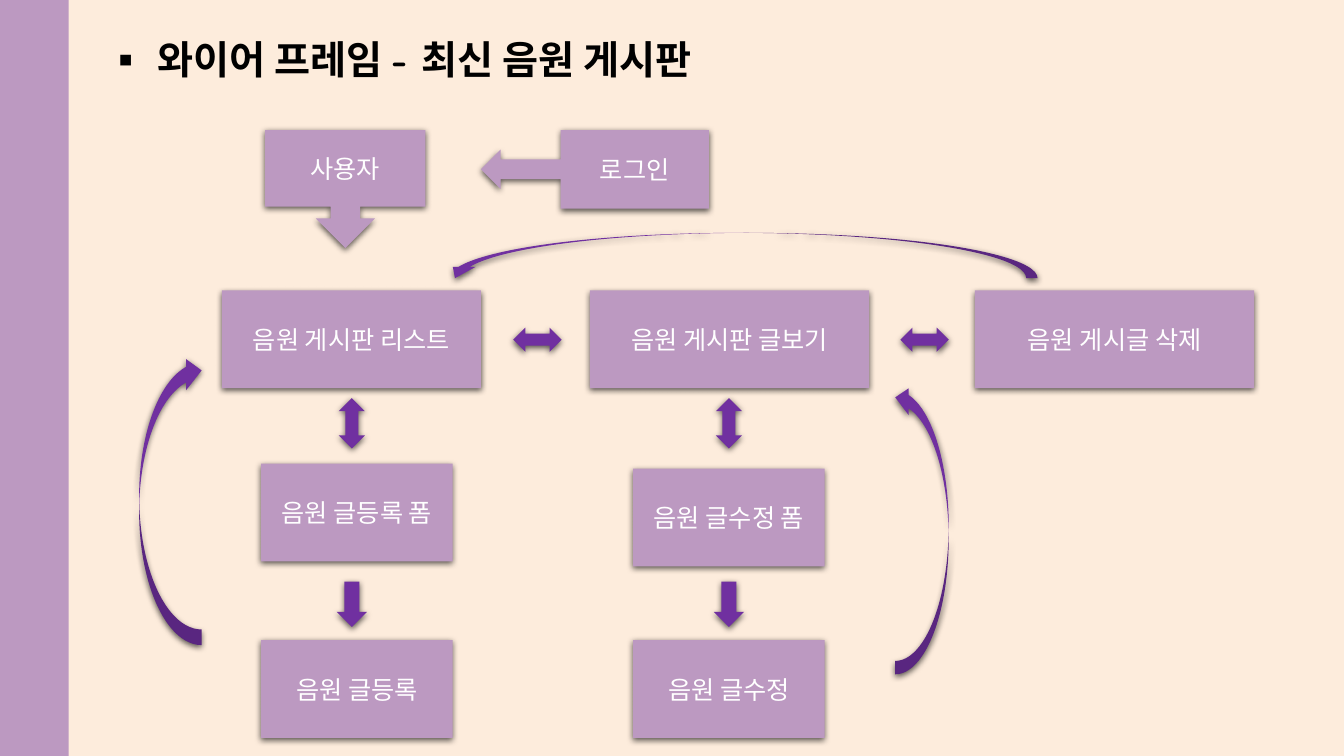
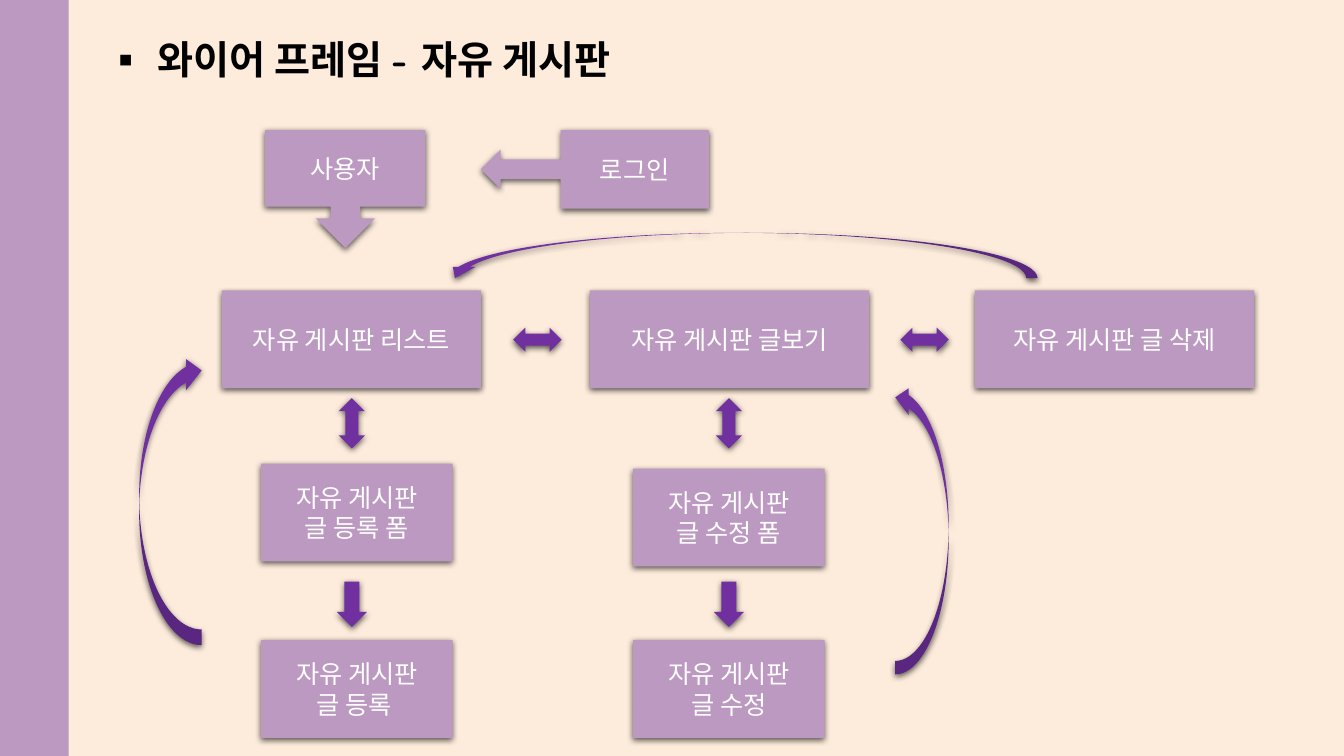
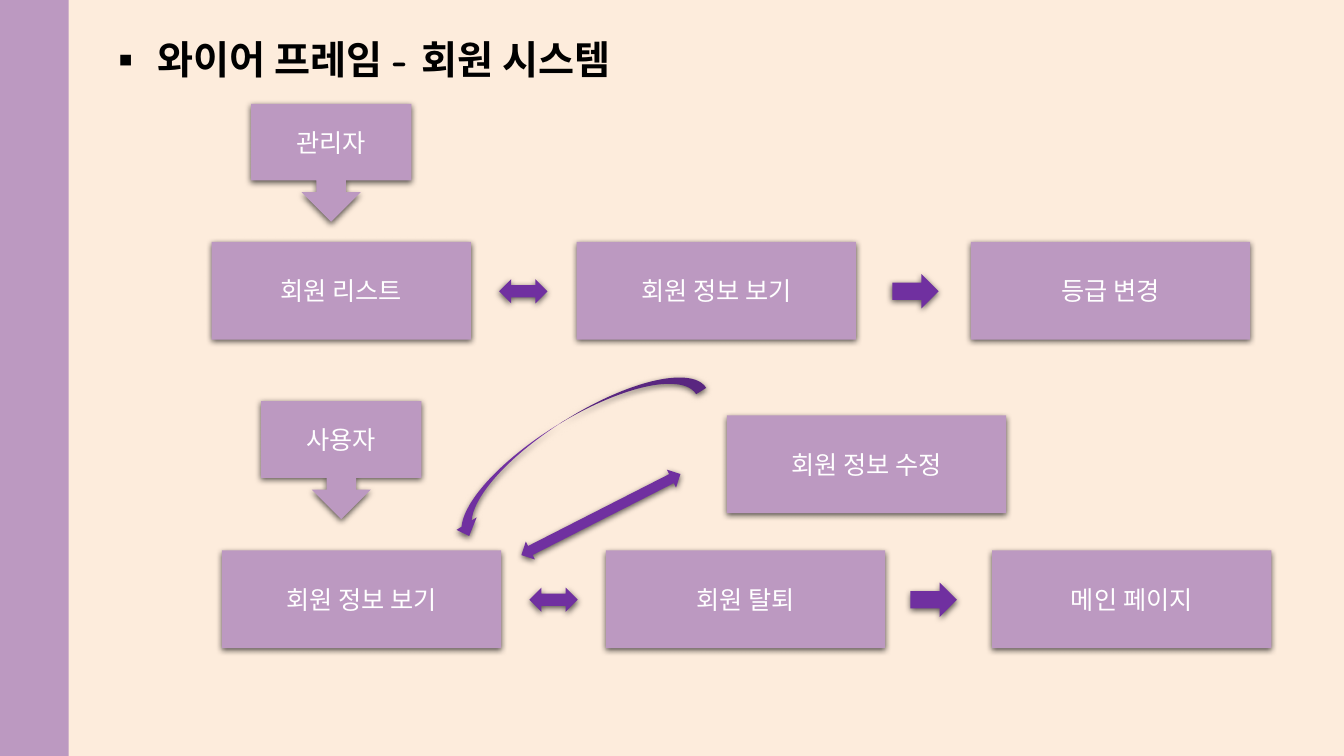
from lxml import etree
from pptx import Presentation
from pptx import util as u
from pptx.dml import color as dml
from pptx.enum import shapes, text
from pptx.oxml import ns

KIND = shapes.MSO_SHAPE
LILAC, PURPLE, CREAM = "BC99C1", "7030A0", "FDECDC"
TITLE_FONT, LABEL_FONT = "Comic Neue", "Noto Sans CJK KR"
STEP_HEIGHT = 0.97
LINKS = {
    "both": (KIND.UP_DOWN_ARROW, 0.24, 0.48, 90),
    "next": (KIND.DOWN_ARROW, 0.34, 0.46, 270),
}


def paint(fill, hex_color):
    """Fill with a solid colour given as a hex string."""
    fill.solid()
    fill.fore_color.rgb = dml.RGBColor.from_string(hex_color)


def add_child(parent, tag, **attributes):
    """Append a drawing element with the given attributes."""
    child = etree.SubElement(parent, ns.qn(tag))
    for key, value in attributes.items():
        child.set(key, str(value))
    return child


def format_text(holder, font_name, size, hex_color, bold, align):
    """Format every paragraph and run of a shape's text."""
    frame = holder.text_frame
    frame.word_wrap = True
    frame.vertical_anchor = text.MSO_ANCHOR.MIDDLE
    for paragraph in frame.paragraphs:
        paragraph.alignment = align
        for run in paragraph.runs:
            run.font.name, run.font.size, run.font.bold = font_name, u.Pt(size), bold
            paint(run.font.fill, hex_color)
    for properties in holder.element.iter(ns.qn("a:rPr")):
        add_child(properties, "a:ea", typeface=LABEL_FONT)


def add_soft_shadow(part):
    """Give a shape the deck's soft shadow falling straight down."""
    part.shadow.inherit = False
    effects = part.element.spPr.find(ns.qn("a:effectLst"))
    shadow = add_child(effects, "a:outerShdw", blurRad=u.Pt(4.5), dist=u.Pt(1.5),
                       dir=5400000, algn="ctr", rotWithShape=0)
    add_child(add_child(shadow, "a:srgbClr", val="000000"), "a:alpha", val=63000)


def add_part(slide, kind, box, hex_color, label="", turn=0, flip=""):
    """Add one shadowed flow part in a box of left, top, width, height."""
    part = slide.shapes.add_shape(kind, *map(u.Inches, box))
    paint(part.fill, hex_color)
    part.line.fill.background()
    add_soft_shadow(part)
    part.rotation = turn
    for axis in flip:
        part.element.spPr.xfrm.set("flip" + axis, "1")
    if label:
        part.text_frame.text = label
        format_text(part, LABEL_FONT, 18, "FFFFFF", False, text.PP_ALIGN.CENTER)
    return part


def add_band(master, slide):
    """Put the background and the left band on the master."""
    paint(master.background.fill, CREAM)
    band = slide.shapes.add_shape(KIND.RECTANGLE, 0, 0, u.Inches(0.68), u.Inches(7.5))
    paint(band.fill, LILAC)
    band.line.fill.background()
    band.shadow.inherit = False
    band.element.nvSpPr.cNvPr.set("id", "20")
    master.element.cSld.spTree.insert(2, band.element)


def add_titled_slide(deck, heading):
    """Add a slide with its bulleted heading."""
    slide = deck.slides.add_slide(deck.slide_layouts[5])
    title = slide.shapes.title
    title.left, title.top, title.width, title.height = map(u.Inches, (0.96, 0.3, 6.89, 0.57))
    title.text_frame.text = heading
    title.text_frame.auto_size = text.MSO_AUTO_SIZE.SHAPE_TO_FIT_TEXT
    for paragraph in title.element.iter(ns.qn("a:p")):
        properties = paragraph.get_or_add_pPr()
        properties.set("marL", str(u.Inches(0.5)))
        properties.set("indent", str(u.Inches(-0.5)))
        add_child(properties, "a:buFont", typeface=LABEL_FONT)
        add_child(properties, "a:buChar", char="▪")
    format_text(title, TITLE_FONT, 28, "000000", True, text.PP_ALIGN.LEFT)
    return slide


def add_process_row(slide, left, top, actor, steps, links):
    """Add an actor above a row of steps joined by arrows."""
    actor_name, actor_x, actor_rise = actor
    add_part(slide, KIND.DOWN_ARROW_CALLOUT,
             (left + actor_x, top - actor_rise, 1.59, 1.17), LILAC, actor_name)
    for x, width, label in steps:
        add_part(slide, KIND.RECTANGLE, (left + x, top, width, STEP_HEIGHT), LILAC, label)
    for centre, link in links:
        kind, width, height, turn = LINKS[link]
        box = (left + centre - width / 2, top + 0.49 - height / 2, width, height)
        add_part(slide, kind, box, PURPLE, turn=turn)


def add_form_column(slide, left, top, axis, form_drop, form, result):
    """Add a form and its result below a step, with arrows on one axis."""
    for drop, label in ((form_drop, form), (2.4, result)):
        add_part(slide, KIND.RECTANGLE, (left, top + drop, 1.9, STEP_HEIGHT), LILAC, label)
    for kind, drop, width, height in ((KIND.UP_DOWN_ARROW, 0, 0.26, 0.5),
                                      (KIND.DOWN_ARROW, 1.82, 0.3, 0.45)):
        box = (left + axis - width / 2, top + drop, width, height)
        add_part(slide, kind, box, PURPLE)


def add_return_arrow(slide, box, turn=0, flip=""):
    """Add a curved arrow leading back to an earlier step."""
    add_part(slide, KIND.CURVED_RIGHT_ARROW, box, PURPLE, turn=turn, flip=flip)


def add_board_flow(slide, left, top, steps, register, edit):
    """Add the flow of a board from login to posting and editing."""
    placed = [(x, width, label)
              for (x, width), label in zip(((0, 2.57), (3.65, 2.77), (7.47, 2.77)), steps)]
    add_process_row(slide, left, top, ("사용자", 0.43, 1.59), placed,
                    ((3.13, "both"), (6.97, "both")))
    add_part(slide, KIND.LEFT_ARROW_CALLOUT,
             (left + 2.57, top - 1.59, 2.26, 0.78), LILAC, "로그인")
    add_form_column(slide, left + 0.39, top + 1.07, 0.9, 0.65, *register)
    add_form_column(slide, left + 4.08, top + 1.07, 0.95, 0.7, *edit)
    add_return_arrow(slide, (left - 0.82, top + 0.64, 0.62, 2.88), flip="V")
    add_return_arrow(slide, (left + 4.92, top - 3.29, 0.45, 5.89), turn=90)
    add_return_arrow(slide, (left + 6.68, top + 0.93, 0.53, 2.88), flip="HV")


def add_member_flow(slide, left, top):
    """Add the administrator's row and the member's row."""
    add_process_row(slide, left, top, ("관리자", 0.39, 1.37),
                    ((0, 2.57, "회원 리스트"), (3.62, 2.77, "회원 정보 보기"),
                     (7.53, 2.77, "등급 변경")),
                    ((3.09, "both"), (6.98, "next")))
    add_process_row(slide, left + 0.1, top + 3.06, ("사용자", 0.39, 1.48),
                    ((0, 2.77, "회원 정보 보기"), (3.81, 2.77, "회원 탈퇴"),
                     (7.64, 2.77, "메인 페이지")),
                    ((3.29, "both"), (7.06, "next")))
    add_part(slide, KIND.RECTANGLE, (left + 5.11, top + 1.72, 2.77, STEP_HEIGHT),
             LILAC, "회원 정보 수정")
    add_part(slide, KIND.UP_DOWN_ARROW, (left + 3.76, top + 1.82, 0.2, 1.77), PURPLE, turn=63)
    add_return_arrow(slide, (left + 3.32, top + 0.57, 0.47, 2.89), turn=238, flip="HV")


BOARDS = (
    ("와이어 프레임 - 최신 음원 게시판",
     ("음원 게시판 리스트", "음원 게시판 글보기", "음원 게시글 삭제"),
     ("음원 글등록 폼", "음원 글등록"),
     ("음원 글수정 폼", "음원 글수정")),
    ("와이어 프레임 - 자유 게시판",
     ("자유 게시판 리스트", "자유 게시판 글보기", "자유 게시판 글 삭제"),
     ("자유 게시판\n글 등록 폼", "자유 게시판\n글 등록 "),
     ("자유 게시판\n글 수정 폼", "자유 게시판\n글 수정")),
)


def main():
    """Build and save the deck."""
    deck = Presentation()
    deck.slide_width, deck.slide_height = u.Inches(13.33), u.Inches(7.5)
    for heading, steps, register, edit in BOARDS:
        slide = add_titled_slide(deck, heading)
        add_board_flow(slide, 2.2, 2.88, steps, register, edit)
    members = add_titled_slide(deck, "와이어 프레임 - 회원 시스템")
    add_member_flow(members, 2.1, 2.4)
    add_band(deck.slide_master, members)
    deck.save("out.pptx")


if __name__ == "__main__":
    main()
